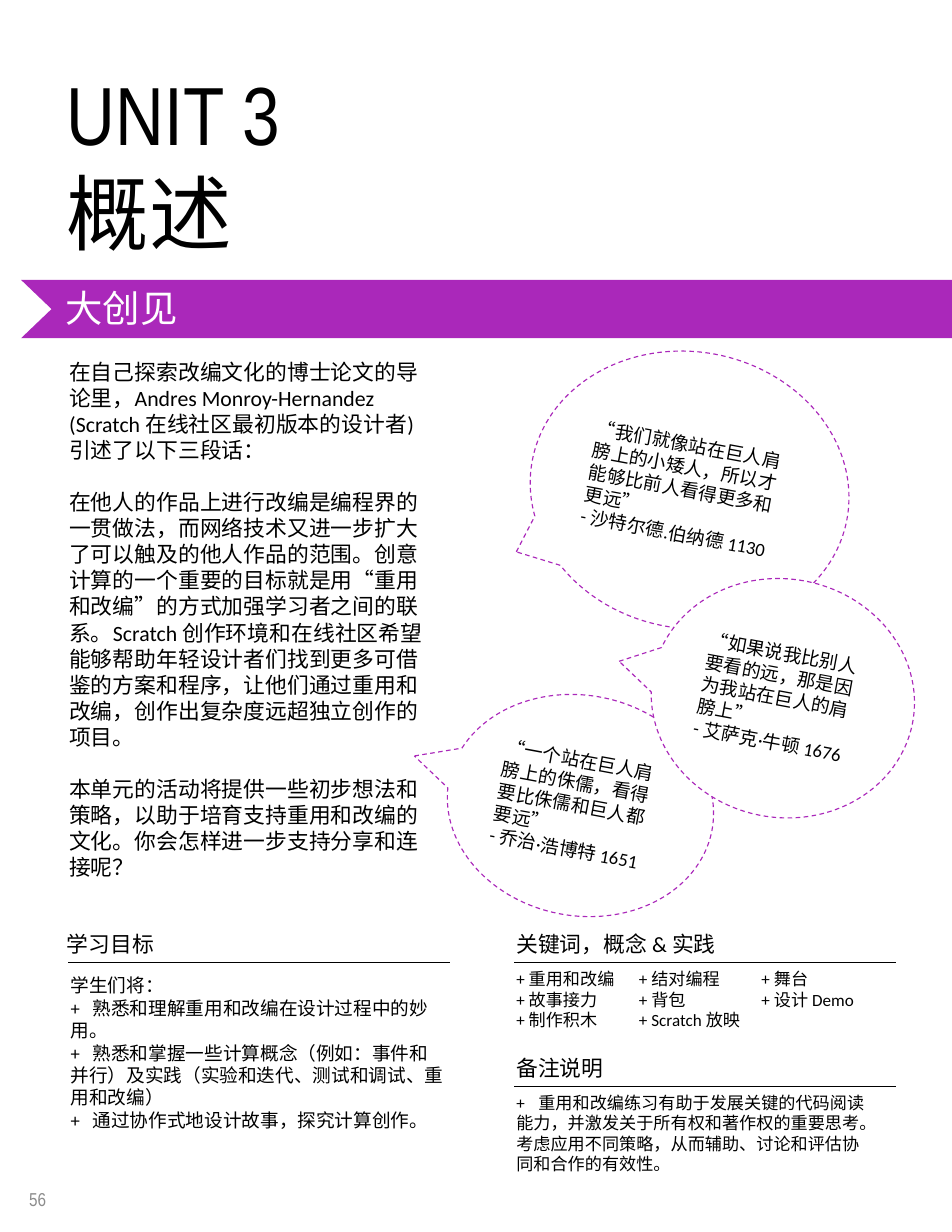
"""Build the Unit 3 overview page with its banner, quote bubbles and study notes."""
from lxml.etree import SubElement
from pptx import Presentation
from pptx.dml.color import RGBColor
from pptx.enum.dml import MSO_LINE
from pptx.enum.shapes import MSO_CONNECTOR, MSO_SHAPE
from pptx.enum.text import MSO_ANCHOR, PP_ALIGN
from pptx.oxml.ns import qn
from pptx.util import Cm, Pt

PURPLE = RGBColor(0xAA, 0x28, 0xBA)
BLACK = RGBColor(0, 0, 0)
WHITE = RGBColor(0xFF, 0xFF, 0xFF)
GRAY = RGBColor(0x8C, 0x8C, 0x8C)
BODY, DISPLAY = "Calibri", "Arial Narrow"

PAGE_W, PAGE_H = 21.59, 27.94
BANNER_LEFT, BANNER_TOP, BANNER_H, NOTCH = 0.48, 6.35, 1.32, 0.69
HEAD_W, HEAD_H, RULE_DROP, RULE_W = 9.19, 0.86, 0.84, 8.65
TAB = 0.5

TITLE = ["UNIT 3", "概述"]
BANNER = ["大创见"]
PAGE_NUMBER = ["56"]
INTRO = [
    "在自己探索改编文化的博士论文的导论里，Andres Monroy-Hernandez (Scratch 在线社区最初版本的设计者)引述了以下三段话：",
    "在他人的作品上进行改编是编程界的一贯做法，而网络技术又进一步扩大了可以触及的他人作品的范围。创意计算的一个重要的目标就是用“重用和改编”的方式加强学习者之间的联系。Scratch 创作环境和在线社区希望能够帮助年轻设计者们找到更多可借鉴的方案和程序，让他们通过重用和改编，创作出复杂度远超独立创作的项目。",
    "本单元的活动将提供一些初步想法和策略，以助于培育支持重用和改编的文化。你会怎样进一步支持分享和连接呢？",
]
GOALS = [
    "学生们将：",
    "+\t熟悉和理解重用和改编在设计过程中的妙用。",
    "+\t熟悉和掌握一些计算概念（例如：事件和并行）及实践（实验和迭代、测试和调试、重用和改编）",
    "+\t通过协作式地设计故事，探究计算创作。",
]
KEYWORDS = [
    "+ 重用和改编", "+ 故事接力", "+ 制作积木",
    "+ 结对编程", "+ 背包", "+ Scratch 放映",
    "+ 舞台", "+ 设计 Demo",
]
NOTES = ["+\t重用和改编练习有助于发展关键的代码阅读能力，并激发关于所有权和著作权的重要思考。考虑应用不同策略，从而辅助、讨论和评估协同和合作的有效性。"]

HEADINGS = [
    ("学习目标", 1.27, 20.98, 1.55),
    ("关键词，概念 & 实践", 11.46, 20.98, 11.66),
    ("备注说明", 11.46, 23.8, 11.66),
]
BUBBLES = [
    ((12.01, 7.98, 7.26, 6.27), (-0.497, 0.334),
     ["“我们就像站在巨人肩膀上的小矮人，所以才能够比前人看得更多和更远”", "- 沙特尔德.伯纳德 1130"]),
    ((10.13, 15.77, 6.07, 5), (-0.644, -0.084),
     ["“一个站在巨人肩膀上的侏儒，看得要比侏儒和巨人都要远”", "- 乔治·浩博特 1651"]),
    ((14.76, 13.13, 5.99, 5.41), (-0.635, -0.027),
     ["“如果说我比别人要看的远，那是因为我站在巨人的肩膀上”", "- 艾萨克·牛顿 1676"]),
]


def cm(*values):
    return [Cm(v) for v in values]


def write(sp, lines, size, font=BODY, color=BLACK, anchor=MSO_ANCHOR.TOP, gap=0):
    tf = sp.text_frame
    tf.word_wrap = True
    tf.vertical_anchor = anchor
    for i, line in enumerate(lines):
        p = tf.add_paragraph() if i else tf.paragraphs[0]
        p.alignment = PP_ALIGN.LEFT
        if i and gap:
            p.space_before = Pt(gap)
        if "\t" in line:
            tabs = SubElement(p._p.get_or_add_pPr(), qn("a:tabLst"))
            SubElement(tabs, qn("a:tab"), pos=str(Cm(TAB)), algn="l")
        p.add_run().text = line
        p.font.size = Pt(size)
        p.font.name = font
        p.font.color.rgb = color
    return tf


def add_text(s, box, lines, size, **style):
    return write(s.shapes.add_textbox(*cm(*box)), lines, size, **style)


def add_heading(s, text, x, y, rule_x):
    add_text(s, (x, y, HEAD_W, HEAD_H), [text], 14)
    rule_y = y + RULE_DROP
    rule = s.shapes.add_connector(
        MSO_CONNECTOR.STRAIGHT, *cm(rule_x, rule_y, rule_x + RULE_W, rule_y))
    rule.line.color.rgb = BLACK
    rule.line.width = Pt(0.75)
    SubElement(rule._element.spPr, qn("a:effectLst"))


def add_banner(s):
    bottom = BANNER_TOP + BANNER_H
    builder = s.shapes.build_freeform(*cm(PAGE_W, BANNER_TOP))
    builder.add_line_segments([
        cm(BANNER_LEFT, BANNER_TOP),
        cm(BANNER_LEFT + NOTCH, BANNER_TOP + BANNER_H / 2),
        cm(BANNER_LEFT, bottom),
        cm(PAGE_W, bottom),
    ])
    sp = builder.convert_to_shape()
    sp.shadow.inherit = False
    sp.fill.solid()
    sp.fill.fore_color.rgb = PURPLE
    sp.line.fill.background()
    add_text(s, (1.24, BANNER_TOP, 5.87, 1.27), BANNER, 24,
             font=DISPLAY, color=WHITE, anchor=MSO_ANCHOR.MIDDLE)


def add_bubble(s, box, tail, lines):
    sp = s.shapes.add_shape(MSO_SHAPE.OVAL_CALLOUT, *cm(*box))
    sp.adjustments[0], sp.adjustments[1] = tail
    sp.rotation = 10.5
    sp.shadow.inherit = False
    sp.fill.solid()
    sp.fill.fore_color.rgb = WHITE
    sp.line.color.rgb = PURPLE
    sp.line.width = Pt(0.75)
    sp.line.dash_style = MSO_LINE.DASH
    write(sp, lines, 12, anchor=MSO_ANCHOR.MIDDLE)


def main():
    prs = Presentation()
    prs.slide_width, prs.slide_height = cm(PAGE_W, PAGE_H)
    s = prs.slides.add_slide(prs.slide_layouts[6])
    for heading in HEADINGS:
        add_heading(s, *heading)
    add_text(s, (1.35, 21.97, 8.97, 3.84), GOALS, 12)
    add_text(s, (11.46, 24.64, 8.66, 2.13), NOTES, 11)
    tf = add_text(s, (11.46, 21.84, 8.84, 1.7), KEYWORDS, 11)
    tf._txBody.bodyPr.set("numCol", "3")
    add_text(s, (1.27, 1.3, 7.82, 4.78), TITLE, 53, font=DISPLAY)
    add_text(s, (1.32, 8, 8.69, 12.19), INTRO, 14, gap=16.5)
    add_banner(s)
    add_text(s, (0.41, 26.44, 5.03, 1.5), PAGE_NUMBER, 12,
             font=DISPLAY, color=GRAY, anchor=MSO_ANCHOR.MIDDLE)
    for bubble in BUBBLES:
        add_bubble(s, *bubble)
    prs.save("out.pptx")


if __name__ == "__main__":
    main()
